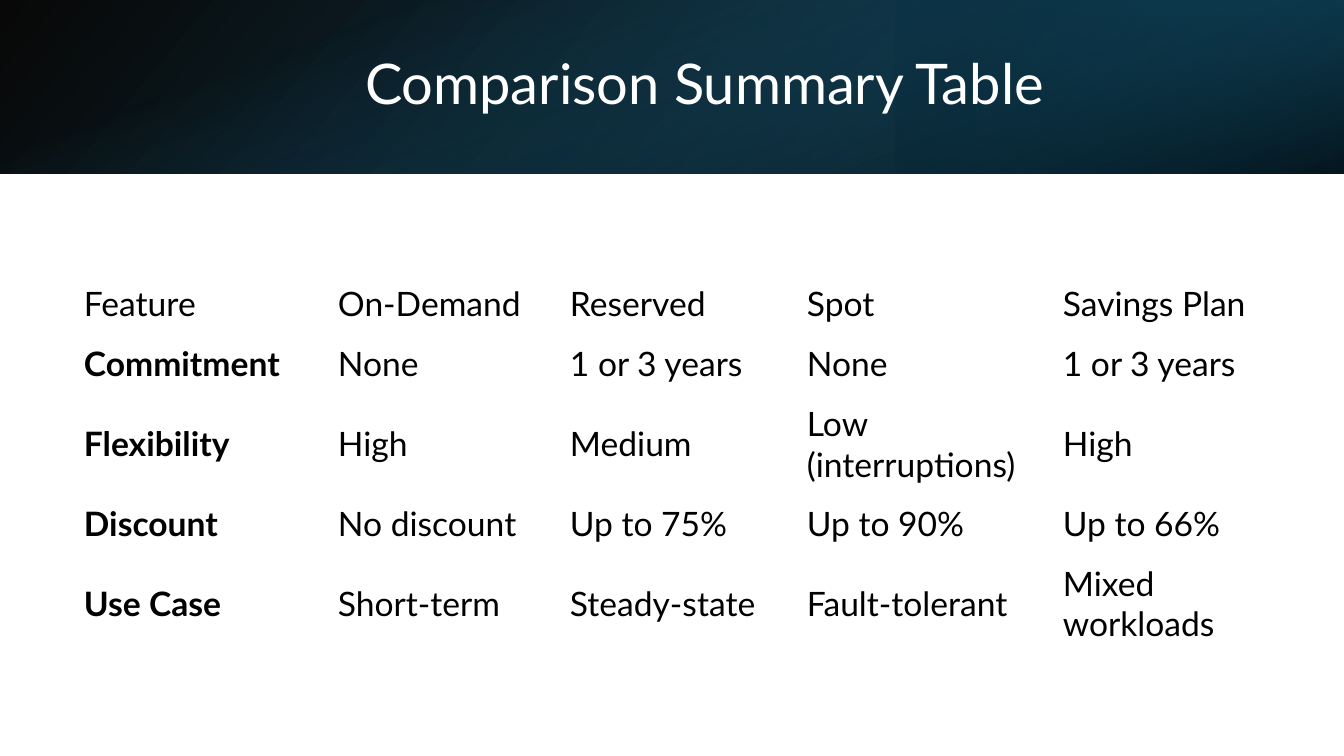
from lxml import etree
from pptx import Presentation
from pptx.dml.color import RGBColor
from pptx.enum.shapes import MSO_SHAPE
from pptx.enum.text import MSO_ANCHOR, PP_ALIGN
from pptx.oxml.ns import qn
from pptx.util import Pt

RECTANGLE = MSO_SHAPE.RECTANGLE
MIDDLE = MSO_ANCHOR.MIDDLE
CENTER = PP_ALIGN.CENTER

BLACK = RGBColor(0x00, 0x00, 0x00)
WHITE = RGBColor(0xFF, 0xFF, 0xFF)
NAVY = RGBColor(0x0B, 0x30, 0x41)
DEEP_TEAL = RGBColor(0x10, 0x48, 0x62)
TEAL = RGBColor(0x15, 0x60, 0x82)

EMU_PER_PX = 914400 / 100.8
SLIDE_WIDTH, SLIDE_HEIGHT = 1344, 756
BANNER_HEIGHT = 174
PLAIN_TABLE_STYLE = "{2D5ABB26-0587-4C30-8999-92F81FD0307C}"

COLUMN_WIDTHS = [254, 232, 237, 256, 226]
ROW_HEIGHTS = [60, 60, 100, 60, 100]
PRICING_ROWS = [
    ["Feature", "On-Demand", "Reserved", "Spot", "Savings Plan"],
    ["Commitment", "None", "1 or 3 years", "None", "1 or 3 years"],
    ["Flexibility", "High", "Medium", "Low (interruptions)", "High"],
    ["Discount", "No discount", "Up to 75%", "Up to 90%", "Up to 66%"],
    ["Use Case", "Short-term", "Steady-state", "Fault-tolerant", "Mixed workloads"],
]


def px(*lengths):
    """Turn pixel lengths into EMU."""
    return [round(length * EMU_PER_PX) for length in lengths]


class SlideBuilder:
    """Hold the text style and the current slide."""

    def __init__(self, slide, font_name="Lato"):
        """Keep the slide and the font."""
        self.slide = slide
        self.font_name = font_name

    def style(self, paragraph, size, color, bold=False):
        """Set the font of a paragraph."""
        font = paragraph.font
        font.name = self.font_name
        font.size = Pt(size)
        font.bold = bold
        font.color.rgb = color

    def title(self, text, box):
        """Fill and place the title placeholder."""
        title = self.slide.shapes.title
        title.left, title.top, title.width, title.height = px(*box)
        title.text_frame.text = text
        title.text_frame.vertical_anchor = MIDDLE
        paragraph = title.text_frame.paragraphs[0]
        paragraph.alignment = CENTER
        paragraph.line_spacing = 0.9
        self.style(paragraph, 40, WHITE)

    def gradient_band(self, box, stops, angle, rotation=0, flip=False):
        """Add a translucent gradient rectangle behind the title."""
        band = self.slide.shapes.add_shape(RECTANGLE, *px(*box))
        band.shadow.inherit = False
        band.line.fill.background()
        band.rotation = rotation
        if flip:
            band.element.spPr.find(qn("a:xfrm")).set("flipH", "1")
        band.fill.gradient()
        band.fill.gradient_angle = 360 - angle
        for gradient_stop, (position, color, _) in zip(band.fill.gradient_stops, stops):
            gradient_stop.position = position / 100
            gradient_stop.color.rgb = color
        colors = band.element.spPr.iter(qn("a:srgbClr"))
        for color_element, (_, _, opacity) in zip(list(colors), stops):
            alpha = etree.SubElement(color_element, qn("a:alpha"))
            alpha.set("val", str(opacity * 1000))
        self.slide.shapes.title.element.addprevious(band.element)

    def table(self, left, top, column_widths, row_heights, rows):
        """Add a plain table with bold row labels."""
        box = px(left, top, sum(column_widths), sum(row_heights))
        frame = self.slide.shapes.add_table(len(rows), len(column_widths), *box)
        table = frame.table
        table.first_row = table.horz_banding = False
        frame.element.find(".//" + qn("a:tableStyleId")).text = PLAIN_TABLE_STYLE
        for column, width in zip(table.columns, px(*column_widths)):
            column.width = width
        for row, height in zip(table.rows, px(*row_heights)):
            row.height = height
        for row_index, texts in enumerate(rows):
            for column_index, text in enumerate(texts):
                cell = table.cell(row_index, column_index)
                cell.text = text
                cell.fill.background()
                cell.vertical_anchor = MIDDLE
                cell.margin_left, cell.margin_top = px(13, 7)
                cell.margin_right, cell.margin_bottom = px(13, 7)
                is_label = row_index > 0 and column_index == 0
                self.style(cell.text_frame.paragraphs[0], 24, BLACK, is_label)


def main():
    """Build and save the slide."""
    presentation = Presentation()
    presentation.slide_width, presentation.slide_height = px(SLIDE_WIDTH, SLIDE_HEIGHT)
    slide = presentation.slides.add_slide(presentation.slide_layouts[5])
    builder = SlideBuilder(slide)

    builder.gradient_band((0, 0, SLIDE_WIDTH, BANNER_HEIGHT),
                          [(0, BLACK, 96), (100, DEEP_TEAL, 96)], 140, flip=True)
    builder.gradient_band((896, 0, 448, BANNER_HEIGHT),
                          [(19, NAVY, 68), (100, TEAL, 79)], 320, 180, flip=True)
    offset = (SLIDE_WIDTH - BANNER_HEIGHT) // 2
    builder.gradient_band((offset, -offset, BANNER_HEIGHT, SLIDE_WIDTH),
                          [(23, TEAL, 0), (99, BLACK, 74)], 340, 90)
    builder.title("Comparison Summary Table", (151, 38, 1107, 97))
    builder.table(71, 274, COLUMN_WIDTHS, ROW_HEIGHTS, PRICING_ROWS)

    presentation.save("out.pptx")


if __name__ == "__main__":
    main()
